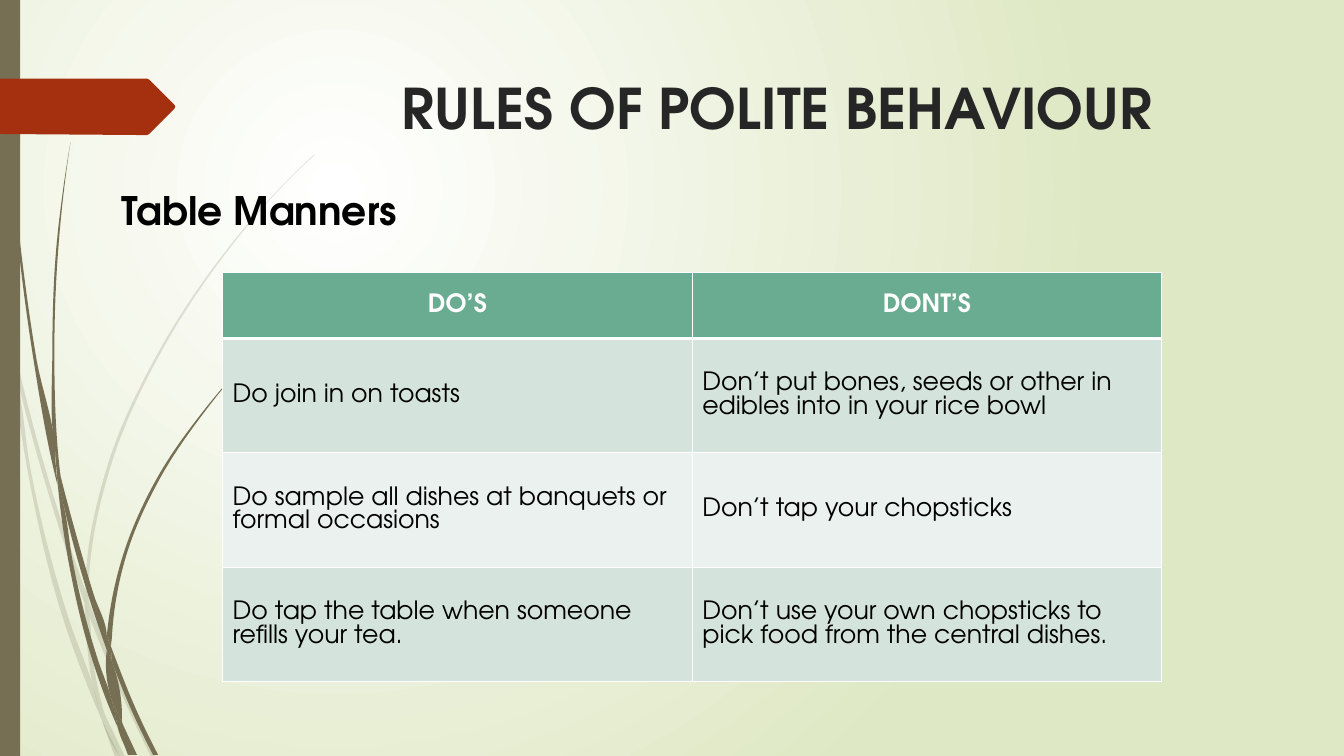
from dataclasses import dataclass

from lxml.etree import SubElement
from pptx import Presentation
from pptx.dml.color import RGBColor
from pptx.enum.shapes import MSO_SHAPE
from pptx.enum.text import MSO_ANCHOR, PP_ALIGN
from pptx.oxml.ns import qn
from pptx.util import Cm, Pt


@dataclass(frozen=True)
class Theme:
    font: str = "TeX Gyre Adventor"
    title_size: int = 40
    subtitle_size: int = 28
    cell_size: int = 18
    cell_leading: int = 17
    olive: str = "766F54"
    rust: str = "A53010"
    ink: str = "262626"
    black: str = "000000"
    white: str = "FFFFFF"
    glow_edge: str = "DFE8C4"
    header: str = "6AAC91"
    bands: tuple = ("D4E3DC", "EBF1EE")


THEME = Theme()
UNIT = Cm(0.0254)  # outline points below are in hundredths of an inch

# Each blade of grass is a list of sides; sides curve, and meet at corners.
PALE_BLADES = [
    [[(11, 350), (9, 322), (0, 282)], [(0, 299), (10, 344), (11, 350)]],
    [[(17, 376), (58, 522), (84, 599)], [(85, 586), (62, 520), (14, 345)]],
    [[(88, 610), (123, 694), (150, 751)], [(155, 751), (127, 692), (92, 607), (88, 596)]],
    [[(119, 751), (124, 751)], [(105, 711)]],
    [[(11, 350), (28, 470), (65, 621), (92, 693), (101, 714)],
     [(99, 707), (93, 683), (70, 619), (31, 469), (17, 376), (11, 350)]],
    [[(84, 599), (87, 646), (93, 683), (96, 692), (105, 711)],
     [(103, 706), (91, 646), (88, 610), (84, 599)]],
    [[(88, 596), (88, 584), (110, 462), (160, 349), (229, 245), (268, 198), (290, 175), (312, 154)],
     [(312, 153), (289, 175), (268, 197), (228, 244), (158, 348), (107, 461), (85, 584), (85, 586)]],
    [[(101, 714), (114, 751)], [(119, 751)]],
    [[(88, 610), (88, 596)], [(85, 586), (84, 599)]],
    [[(93, 683), (99, 707), (101, 714), (119, 751)], [(105, 711), (96, 692), (93, 683)]],
]
DARK_BLADES = [
    [[(3, 0), (4, 48), (7, 110), (17, 233), (33, 355), (56, 477), (57, 481)],
     [(55, 457), (55, 453), (36, 355), (19, 232), (8, 109), (5, 48), (4, 0)]],
    [[(64, 505), (88, 592), (106, 645)], [(106, 633), (106, 631), (93, 590), (60, 472)]],
    [[(111, 656), (132, 708), (152, 749)], [(157, 749), (136, 706), (113, 649), (110, 641)]],
    [[(57, 477), (68, 557), (93, 659), (111, 708), (117, 722)],
     [(116, 717), (110, 691), (98, 657), (72, 556), (64, 505), (57, 477)]],
    [[(60, 472), (58, 453), (54, 349), (58, 245), (63, 193), (70, 141)],
     [(70, 141), (62, 193), (56, 245), (52, 349), (55, 449), (60, 472)]],
    [[(133, 749), (136, 749)], [(122, 719)]],
    [[(55, 453), (57, 477)], [(64, 505), (60, 472), (55, 449)]],
    [[(111, 633), (125, 552), (158, 476), (205, 406), (231, 374), (245, 359), (261, 344)],
     [(260, 344), (245, 358), (231, 373), (204, 405), (156, 474), (122, 551), (106, 631)],
     [(110, 641)]],
    [[(117, 722), (127, 749)], [(131, 749)]],
    [[(106, 645), (110, 691), (116, 706), (122, 719)],
     [(121, 716), (111, 656), (109, 651), (106, 645)]],
    [[(106, 645), (109, 651), (111, 656)], [(110, 641)], [(106, 631)]],
    [[(110, 691), (116, 717), (117, 722), (130, 749)],
     [(133, 749), (122, 719), (116, 706), (110, 691)]],
]
ARROW = [(0, 78), (146, 78), (148, 79), (173, 104), (174, 106), (173, 108),
         (148, 133), (146, 134), (136, 134), (0, 133)]

MANNERS = [
    ("DO’S", "DONT’S"),
    ("Do join in on toasts",
     "Don’t put bones, seeds or other in edibles into in your rice bowl"),
    ("Do sample all dishes at banquets or formal occasions",
     "Don’t tap your chopsticks"),
    ("Do tap the table when someone refills your tea. ",
     "Don’t use your own chopsticks to pick food from the central dishes. "),
]


def rgb(color):
    return RGBColor.from_string(color)


def side_curves(knots):
    """Return the Bezier points, three a segment, of a curve through the knots."""
    chords = [b - a for a, b in zip(knots, knots[1:])]
    if not chords:
        return []
    units = [chord / abs(chord) for chord in chords]
    tangents = []
    for i in range(1, len(chords)):
        t = units[i - 1] * abs(chords[i]) + units[i] * abs(chords[i - 1])
        tangents.append(t / abs(t))
    if tangents:
        first = units[0] ** 2 * tangents[0].conjugate()
        last = units[-1] ** 2 * tangents[-1].conjugate()
        tangents = [first, *tangents, last]
    else:
        tangents = units * 2
    points = []
    for i, chord in enumerate(chords):
        reach = abs(chord) / 3
        points += [knots[i] + tangents[i] * reach,
                   knots[i + 1] - tangents[i + 1] * reach, knots[i + 1]]
    return points


def blade_points(blade):
    sides = [[complex(*knot) for knot in side] for side in blade]
    points = [sides[0][0]]
    for side in sides:
        if side[0] != points[-1]:
            points += [points[-1], side[0], side[0]]
        points += side_curves(side)
    return [(z.real, z.imag) for z in points]


def paint(sp, color):
    sp.shadow.inherit = False
    sp.fill.solid()
    sp.fill.fore_color.rgb = rgb(color)
    sp.line.fill.background()


def add_outline(s, points, color):
    start, *rest = [(x * UNIT, y * UNIT) for x, y in points]
    builder = s.shapes.build_freeform(*start)
    builder.add_line_segments(rest)
    sp = builder.convert_to_shape()
    paint(sp, color)
    return sp


def bend(sp):
    """Turn every three straight segments of a freeform into one Bezier curve."""
    lines = sp.element.findall(".//" + qn("a:lnTo"))
    for i in range(0, len(lines), 3):
        lines[i].tag = qn("a:cubicBezTo")
        for line in lines[i + 1:i + 3]:
            lines[i].append(line[0])
            line.getparent().remove(line)


def add_blades(s, blades, opacity=100):
    for blade in blades:
        sp = add_outline(s, blade_points(blade), THEME.olive)
        bend(sp)
        if opacity < 100:
            color = sp.element.spPr.find(qn("a:solidFill"))[0]
            SubElement(color, qn("a:alpha"), val=str(opacity * 1000))


def add_background(s):
    """Fill the background with a round glow centred in the upper left."""
    fill = s.background.fill
    fill.gradient()
    for stop, color in zip(fill.gradient_stops, (THEME.white, THEME.glow_edge)):
        stop.color.rgb = rgb(color)
    grad = s.element.find(".//" + qn("a:gradFill"))
    grad.remove(grad.find(qn("a:lin")))
    glow = SubElement(grad, qn("a:path"), path="circle")
    SubElement(glow, qn("a:fillToRect"), l="50000", t="50000", r="100000", b="100000")


def style_text(p, text, size, color, bold, align=PP_ALIGN.LEFT):
    p.text = text
    p.alignment = align
    p.font.name = THEME.font
    p.font.size = Pt(size)
    p.font.bold = bold
    p.font.color.rgb = rgb(color)


def add_heading(s, box, text, size, color, align=PP_ALIGN.LEFT):
    tf = s.shapes.add_textbox(*map(Cm, box)).text_frame
    tf.word_wrap = True
    style_text(tf.paragraphs[0], text, size, color, True, align)


def add_header_borders(cell):
    tc_pr = cell._tc.get_or_add_tcPr()
    for i, (edge, width) in enumerate(zip("LRTB", (1, 1, 1, 3))):
        ln = SubElement(tc_pr, qn(f"a:ln{edge}"), w=str(Pt(width)))
        SubElement(SubElement(ln, qn("a:solidFill")), qn("a:srgbClr"), val=THEME.white)
        tc_pr.insert(i, ln)


def add_manners_table(s):
    box = map(Cm, (5.61, 6.86, 23.67, 10.32))
    table = s.shapes.add_table(len(MANNERS), 2, *box).table
    for i, texts in enumerate(MANNERS):
        is_header = i == 0
        table.rows[i].height = Cm(1.67 if is_header else 2.88)
        for cell, text in zip(table.rows[i].cells, texts):
            cell.vertical_anchor = MSO_ANCHOR.MIDDLE
            cell.fill.solid()
            cell.fill.fore_color.rgb = rgb(THEME.header if is_header else THEME.bands[(i - 1) % 2])
            p = cell.text_frame.paragraphs[0]
            style_text(p, text, THEME.cell_size, THEME.white if is_header else THEME.black,
                       is_header, PP_ALIGN.CENTER if is_header else PP_ALIGN.LEFT)
            p.line_spacing = Pt(THEME.cell_leading)
            if is_header:
                add_header_borders(cell)


def main():
    prs = Presentation()
    prs.slide_width, prs.slide_height = Cm(33.87), Cm(19.05)
    s = prs.slides.add_slide(prs.slide_layouts[6])
    add_background(s)
    add_blades(s, PALE_BLADES, opacity=20)
    add_blades(s, DARK_BLADES)
    paint(s.shapes.add_shape(MSO_SHAPE.RECTANGLE, 0, 0, Cm(0.51), prs.slide_height), THEME.olive)
    add_outline(s, ARROW, THEME.rust)
    add_heading(s, (7.2, 1.73, 24.77, 3.56), "RULES OF POLITE BEHAVIOUR",
                THEME.title_size, THEME.ink, PP_ALIGN.CENTER)
    add_heading(s, (2.82, 4.57, 24.97, 1.45), "Table Manners",
                THEME.subtitle_size, THEME.black)
    add_manners_table(s)
    prs.save("out.pptx")


if __name__ == "__main__":
    main()
